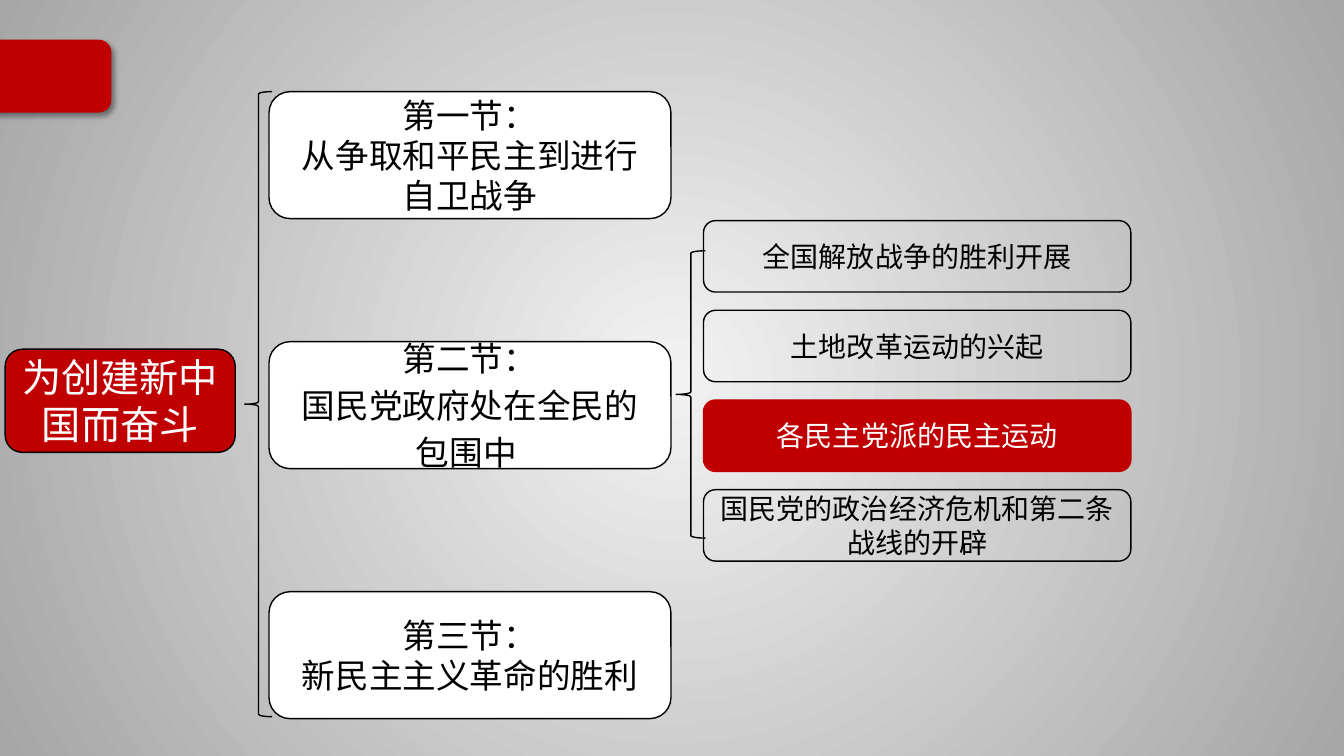
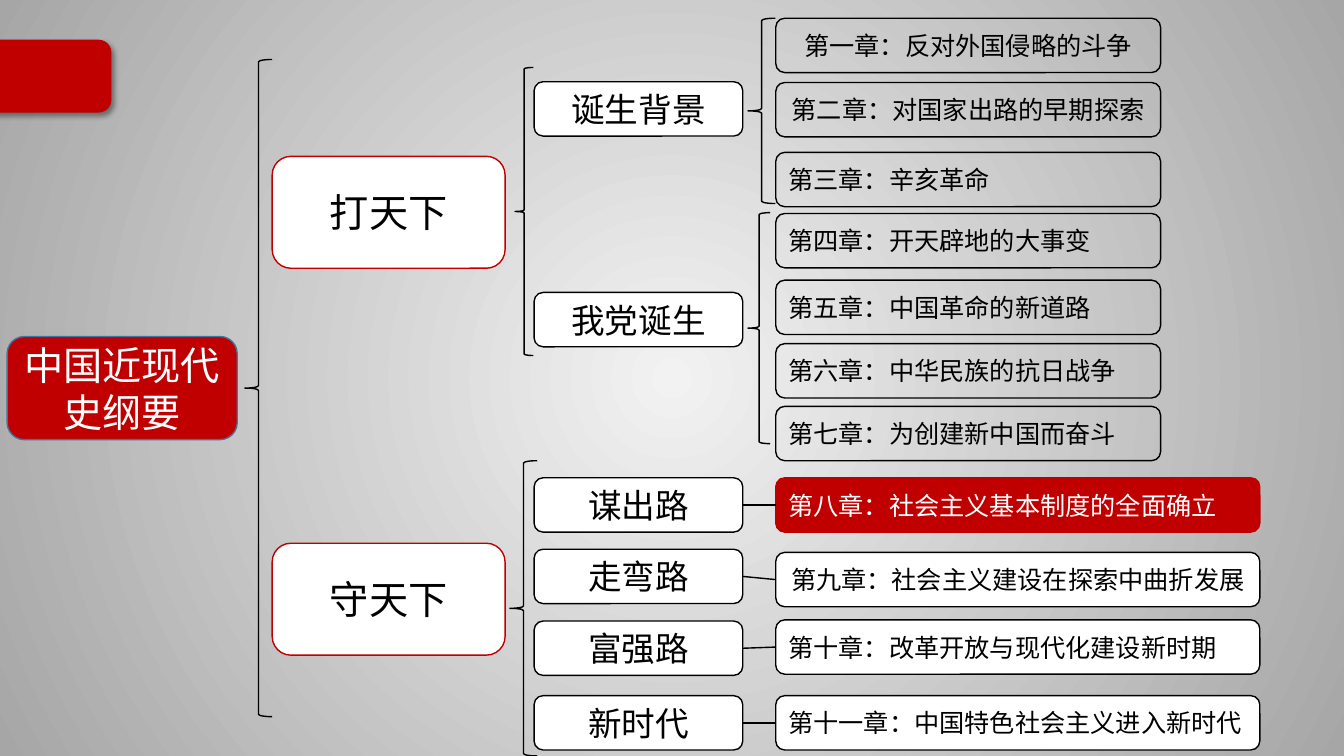
from lxml import etree
from pptx import Presentation
from pptx import util as u
from pptx.dml.color import RGBColor
from pptx.enum import shapes, text
from pptx.oxml.ns import qn

COLORS = {"red": "C00000", "black": "000000", "white": "FFFFFF",
          "blue": "43739E", "glow": "F2F2F2", "edge": "A6A6A6"}
FONT = "Noto Sans CJK SC"
LEFT_SITE, RIGHT_SITE = 1, 3


def rgb(name):
    return RGBColor.from_string(COLORS[name])


def add_node(slide, kind, at, lines=(), size=18, fill=None, line="black",
             color="black", align="CENTER", before=0):
    """Add a box or brace at (left, top, width, height) in cm, one paragraph per line."""
    sp = slide.shapes.add_shape(getattr(shapes.MSO_SHAPE, kind), *map(u.Cm, at))
    sp.shadow.inherit = False
    if fill:
        sp.fill.solid()
        sp.fill.fore_color.rgb = rgb(fill)
    else:
        sp.fill.background()
    sp.line.color.rgb = rgb(line)
    sp.line.width = u.Pt(1)
    tf = sp.text_frame
    tf.word_wrap = True
    tf.vertical_anchor = text.MSO_ANCHOR.MIDDLE
    for i, words in enumerate(lines):
        p = tf.paragraphs[0] if i == 0 else tf.add_paragraph()
        p.alignment = getattr(text.PP_ALIGN, align)
        if i:
            p.space_before = u.Pt(before)
        r = p.add_run()
        r.text = words
        r.font.size = u.Pt(size)
        r.font.color.rgb = rgb(color)
        r.font.name = FONT
        etree.SubElement(r.font._element, qn("a:ea"), typeface=FONT)
    return sp


prs = Presentation()
prs.slide_width, prs.slide_height = u.Cm(33.87), u.Cm(19.05)
blank = prs.slide_layouts[6]
master = prs.slide_master

# Shared background: a round glow
fill = master.background.fill
fill.gradient()
for stop, name, position in zip(fill.gradient_stops, ("glow", "edge"), (0, 1)):
    stop.color.rgb = rgb(name)
    stop.position = position
grad = master.element.find(".//" + qn("a:gradFill"))
grad.remove(grad.find(qn("a:lin")))
glow = etree.SubElement(grad, qn("a:path"), path="circle")
etree.SubElement(glow, qn("a:fillToRect"), l="50000", t="50000", r="50000", b="50000")

# Slide 1: sections of the chapter
s = prs.slides.add_slide(blank)

# Shared red tab, moved to the master
tab = add_node(s, "ROUNDED_RECTANGLE", (-0.46, 1.02, 3.25, 1.8), fill="red", line="red")
effects = tab._element.spPr.find(qn("a:effectLst"))
shadow = etree.SubElement(effects, qn("a:outerShdw"), blurRad=str(u.Pt(4)),
                          dist=str(u.Pt(3)), dir="2700000", algn="tl", rotWithShape="0")
shade = etree.SubElement(shadow, qn("a:srgbClr"), val=COLORS["black"])
etree.SubElement(shade, qn("a:alpha"), val="40000")
tab._element.nvSpPr.cNvPr.set("id", "20")
master.shapes._spTree.append(tab._element)

add_node(s, "ROUNDED_RECTANGLE", (0.13, 8.8, 5.8, 2.6), ["为创建新中国而奋斗"], 28,
         fill="red", color="white")
for at in [(6.17, 2.31, 0.69, 15.75), (17.04, 6.32, 0.74, 7.24)]:
    add_node(s, "LEFT_BRACE", at)

sections = [
    (["第一节：", "从争取和平民主到进行", "自卫战争"], 0),
    (["第二节：", "国民党政府处在全民的", "包围中 "], 5),
    (["第三节：", "新民主主义革命的胜利"], 0),
]
for i, (lines, before) in enumerate(sections):
    add_node(s, "ROUNDED_RECTANGLE", (6.78, 2.31 + 6.3 * i, 10.13, 3.2), lines, 24,
             fill="white", before=before)

topics = ["全国解放战争的胜利开展", "土地改革运动的兴起", "各民主党派的民主运动",
          "国民党的政治经济危机和第二条战线的开辟"]
for i, topic in enumerate(topics):
    style = dict(fill="red", line="red", color="white") if i == 2 else {}
    add_node(s, "ROUNDED_RECTANGLE", (17.73, 5.56 + 2.26 * i, 10.77, 1.8), [topic], 20, **style)

# Slide 2: outline of the course
s = prs.slides.add_slide(blank)
add_node(s, "ROUNDED_RECTANGLE", (0.18, 8.48, 5.8, 2.6), ["中国近现代史纲要"], 28,
         fill="red", line="blue", color="white")
for at in [(6.17, 1.5, 0.69, 16.56), (12.98, 1.7, 0.46, 7.26), (12.85, 11.61, 0.69, 7.44),
           (18.85, 0.46, 0.69, 4.67), (18.85, 5.36, 0.56, 5.82)]:
    add_node(s, "LEFT_BRACE", at)

for top, half in [(3.94, "打天下"), (13.69, "守天下")]:
    add_node(s, "ROUNDED_RECTANGLE", (6.86, top, 5.87, 2.82), [half], 28,
             fill="white", line="red")

stages = [(2.06, "诞生背景"), (7.37, "我党诞生"), (12.04, "谋出路"),
          (13.84, "走弯路"), (15.65, "富强路"), (17.53, "新时代")]
stage_boxes = [add_node(s, "ROUNDED_RECTANGLE", (13.46, top, 5.26, 1.37), [stage], 24, fill="white")
               for top, stage in stages]

chapters = [
    (0.46, "第一章：反对外国侵略的斗争", "CENTER"),
    (2.08, "第二章：对国家出路的早期探索", "CENTER"),
    (3.84, "第三章：辛亥革命", "LEFT"),
    (5.38, "第四章：开天辟地的大事变", "LEFT"),
    (7.06, "第五章：中国革命的新道路", "LEFT"),
    (8.66, "第六章：中华民族的抗日战争", "LEFT"),
    (10.24, "第七章：为创建新中国而奋斗", "LEFT"),
    (12.04, "第八章：社会主义基本制度的全面确立", "LEFT"),
    (13.92, "第九章：社会主义建设在探索中曲折发展 ", "CENTER"),
    (15.62, "第十章：改革开放与现代化建设新时期", "LEFT"),
    (17.53, "第十一章：中国特色社会主义进入新时代", "LEFT"),
]
chapter_boxes = []
for i, (top, chapter, align) in enumerate(chapters):
    style = dict(fill="white") if i > 7 else {}
    if i == 7:
        style = dict(fill="red", line="red", color="white")
    width = 9.7 if i < 7 else 12.2
    chapter_boxes.append(add_node(s, "ROUNDED_RECTANGLE", (19.55, top, width, 1.37),
                                  [chapter], align=align, **style))

# The last four stages each lead to one chapter
for stage, chapter in zip(stage_boxes[-4:], chapter_boxes[-4:]):
    link = s.shapes.add_connector(shapes.MSO_CONNECTOR.STRAIGHT, 0, 0, 0, 0)
    link.begin_connect(chapter, LEFT_SITE)
    link.end_connect(stage, RIGHT_SITE)
    link.line.color.rgb = rgb("black")
    link.line.width = u.Pt(1)
    etree.SubElement(link._element.spPr, qn("a:effectLst"))

prs.save("out.pptx")
